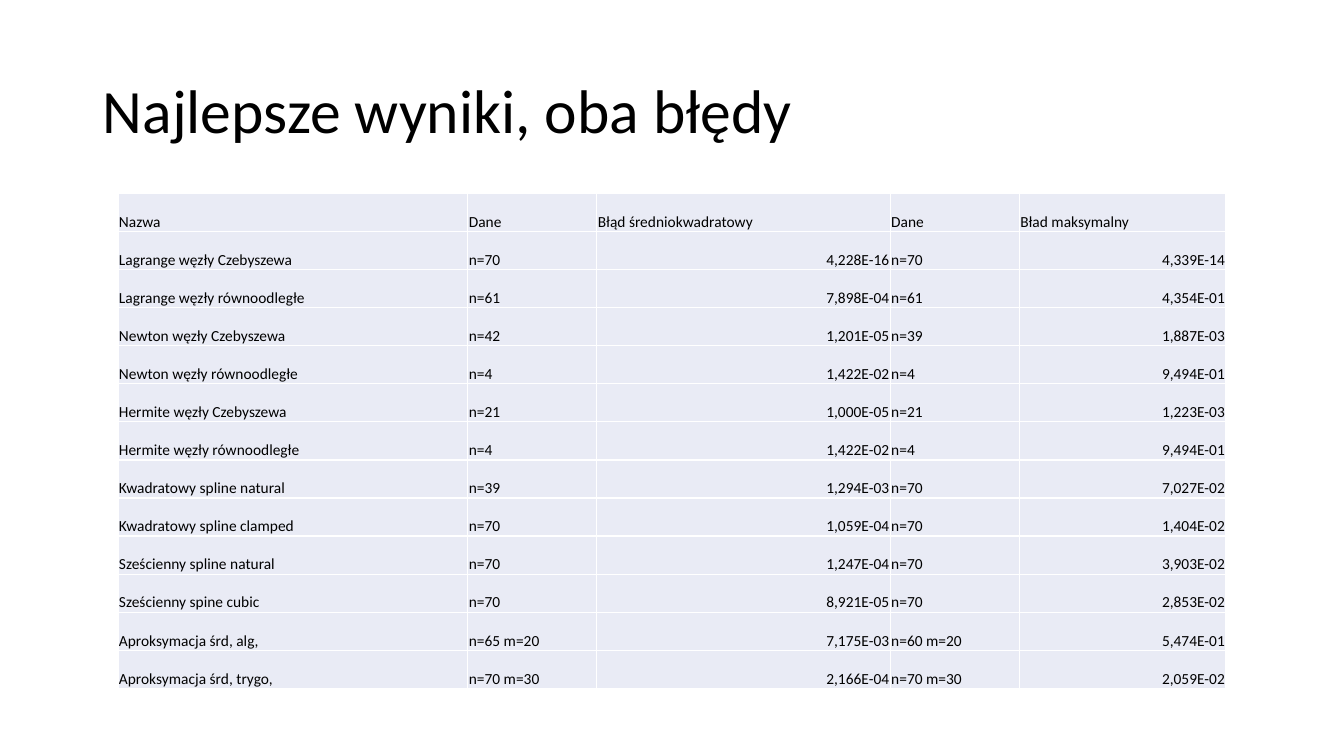
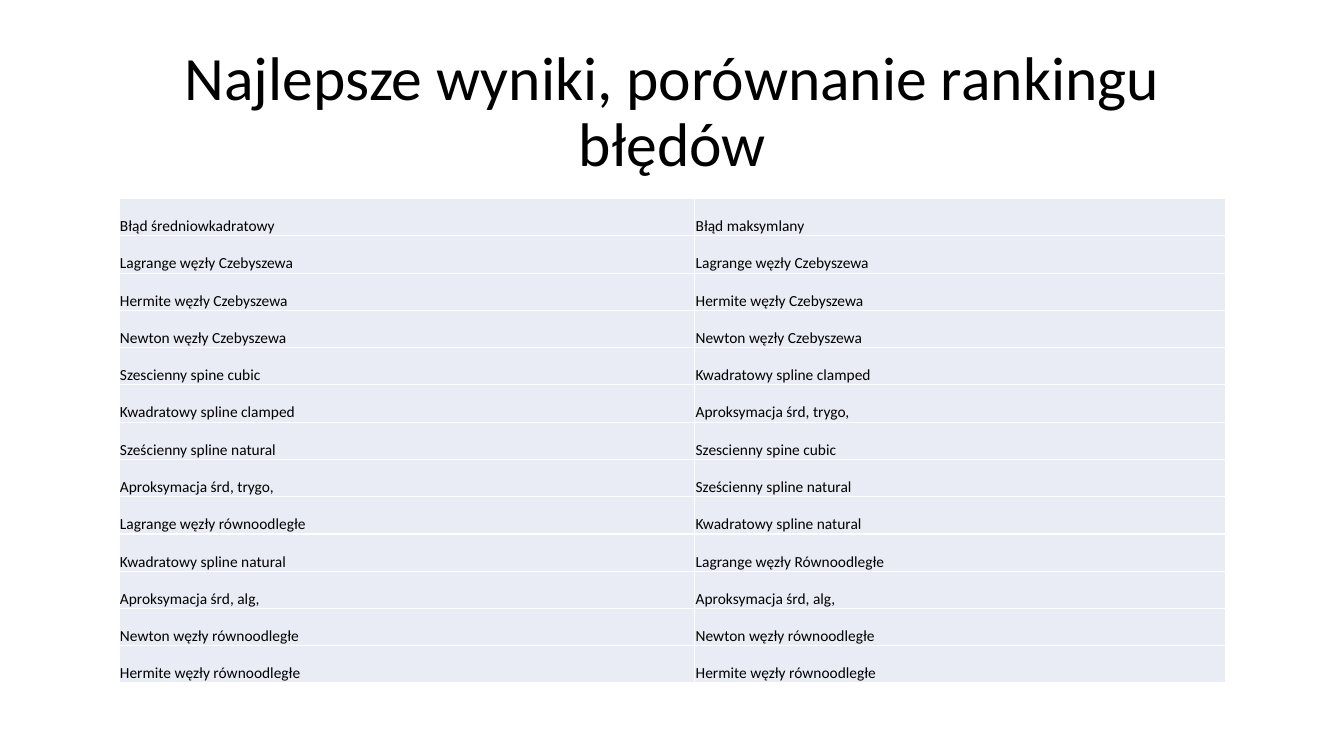
import pptx
import pptx.dml.color
import pptx.enum.text
import pptx.oxml
import pptx.oxml.ns
import pptx.util
from pptx.util import Inches

RGBColor = pptx.dml.color.RGBColor
Align = pptx.enum.text.PP_ALIGN
Anchor = pptx.enum.text.MSO_ANCHOR

# Shared style
FONT = "Calibri"
INK = RGBColor(0x00, 0x00, 0x00)
CELL_FILL = RGBColor(0xE9, 0xEB, 0xF5)
GRID_LINE = RGBColor(0xFF, 0xFF, 0xFF)
TITLE_ONLY = 5

# Content: name, data and mean square error, data and maximum error
RESULTS = [
    ("Nazwa", "Dane", "Błąd średniokwadratowy", "Dane", "Bład maksymalny"),
    ("Lagrange węzły Czebyszewa", "n=70", "4,228E-16", "n=70", "4,339E-14"),
    ("Lagrange węzły równoodległe", "n=61", "7,898E-04", "n=61", "4,354E-01"),
    ("Newton węzły Czebyszewa", "n=42", "1,201E-05", "n=39", "1,887E-03"),
    ("Newton węzły równoodległe", "n=4", "1,422E-02", "n=4", "9,494E-01"),
    ("Hermite węzły Czebyszewa", "n=21", "1,000E-05", "n=21", "1,223E-03"),
    ("Hermite węzły równoodległe", "n=4", "1,422E-02", "n=4", "9,494E-01"),
    ("Kwadratowy spline natural", "n=39", "1,294E-03", "n=70", "7,027E-02"),
    ("Kwadratowy spline clamped", "n=70", "1,059E-04", "n=70", "1,404E-02"),
    ("Sześcienny spline natural", "n=70", "1,247E-04", "n=70", "3,903E-02"),
    ("Sześcienny spine cubic", "n=70", "8,921E-05", "n=70", "2,853E-02"),
    ("Aproksymacja śrd, alg,", "n=65 m=20", "7,175E-03", "n=60 m=20", "5,474E-01"),
    ("Aproksymacja śrd, trygo,", "n=70 m=30", "2,166E-04", "n=70 m=30", "2,059E-02"),
]

# Content: methods ranked by each error
RANKING = [
    ("Błąd średniowkadratowy", "Błąd maksymlany"),
    ("Lagrange węzły Czebyszewa", "Lagrange węzły Czebyszewa"),
    ("Hermite węzły Czebyszewa", "Hermite węzły Czebyszewa"),
    ("Newton węzły Czebyszewa", "Newton węzły Czebyszewa"),
    ("Szescienny spine cubic", "Kwadratowy spline clamped"),
    ("Kwadratowy spline clamped", "Aproksymacja śrd, trygo,"),
    ("Sześcienny spline natural", "Szescienny spine cubic"),
    ("Aproksymacja śrd, trygo,", "Sześcienny spline natural"),
    ("Lagrange węzły równoodległe", "Kwadratowy spline natural"),
    ("Kwadratowy spline natural", "Lagrange węzły Równoodległe"),
    ("Aproksymacja śrd, alg,", "Aproksymacja śrd, alg,"),
    ("Newton węzły równoodległe", "Newton węzły równoodległe"),
    ("Hermite węzły równoodległe", "Hermite węzły równoodległe"),
]


def write_text(frame, text, size, align=Align.LEFT, spacing=1.0):
    paragraph = frame.paragraphs[0]
    paragraph.alignment = align
    paragraph.line_spacing = spacing
    run = paragraph.add_run()
    run.text = text
    run.font.name = FONT
    run.font.size = pptx.util.Pt(size)
    run.font.color.rgb = INK


def add_titled_slide(deck, heading, align):
    slide = deck.slides.add_slide(deck.slide_layouts[TITLE_ONLY])
    title = slide.shapes.title
    title.left, title.top = Inches(0.92), Inches(0.4)
    title.width, title.height = Inches(11.5), Inches(1.45)
    frame = title.text_frame
    frame.auto_size = pptx.enum.text.MSO_AUTO_SIZE.NONE
    frame.vertical_anchor = Anchor.MIDDLE
    write_text(frame, heading, size=44, align=align, spacing=0.9)
    return slide


def add_borders(cell):
    """Draw a thin line on all four sides; lines must precede the fill."""
    properties = cell._tc.get_or_add_tcPr()
    for position, side in enumerate(("lnL", "lnR", "lnT", "lnB")):
        line = pptx.oxml.parse_xml(
            f'<a:{side} {pptx.oxml.ns.nsdecls("a")} w="{pptx.util.Pt(1)}">'
            f'<a:solidFill><a:srgbClr val="{GRID_LINE}"/></a:solidFill></a:{side}>')
        properties.insert(position, line)


def format_cell(cell, text, align):
    cell.margin_left = cell.margin_right = cell.margin_top = Inches(0.01)
    cell.margin_bottom = 0
    cell.vertical_anchor = Anchor.BOTTOM
    cell.fill.solid()
    cell.fill.fore_color.rgb = CELL_FILL
    add_borders(cell)
    write_text(cell.text_frame, text, size=11, align=align)


def add_grid(slide, rows, left, top, height, widths, number_columns=()):
    table = slide.shapes.add_table(
        len(rows), len(widths), Inches(left), Inches(top),
        Inches(sum(widths)), Inches(height)).table
    table.first_row = table.horz_banding = False
    for column, width in zip(table.columns, widths):
        column.width = Inches(width)
    for r, row in enumerate(rows):
        for c, text in enumerate(row):
            is_number = r > 0 and c in number_columns
            format_cell(table.cell(r, c), text, Align.RIGHT if is_number else Align.LEFT)


def main():
    deck = pptx.Presentation()
    deck.slide_width, deck.slide_height = Inches(13.33), Inches(7.5)

    # Best results for both errors
    results = add_titled_slide(deck, "Najlepsze wyniki, oba błędy", Align.LEFT)
    add_grid(results, RESULTS, left=1.17, top=1.92, height=4.91,
             widths=(3.47, 1.28, 2.91, 1.28, 2.05), number_columns=(2, 4))

    # Rankings side by side
    ranking = add_titled_slide(
        deck, "Najlepsze wyniki, porównanie rankingu błędów", Align.CENTER)
    add_grid(ranking, RANKING, left=1.18, top=1.97, height=4.81, widths=(5.71, 5.27))

    deck.save("out.pptx")


if __name__ == "__main__":
    main()
